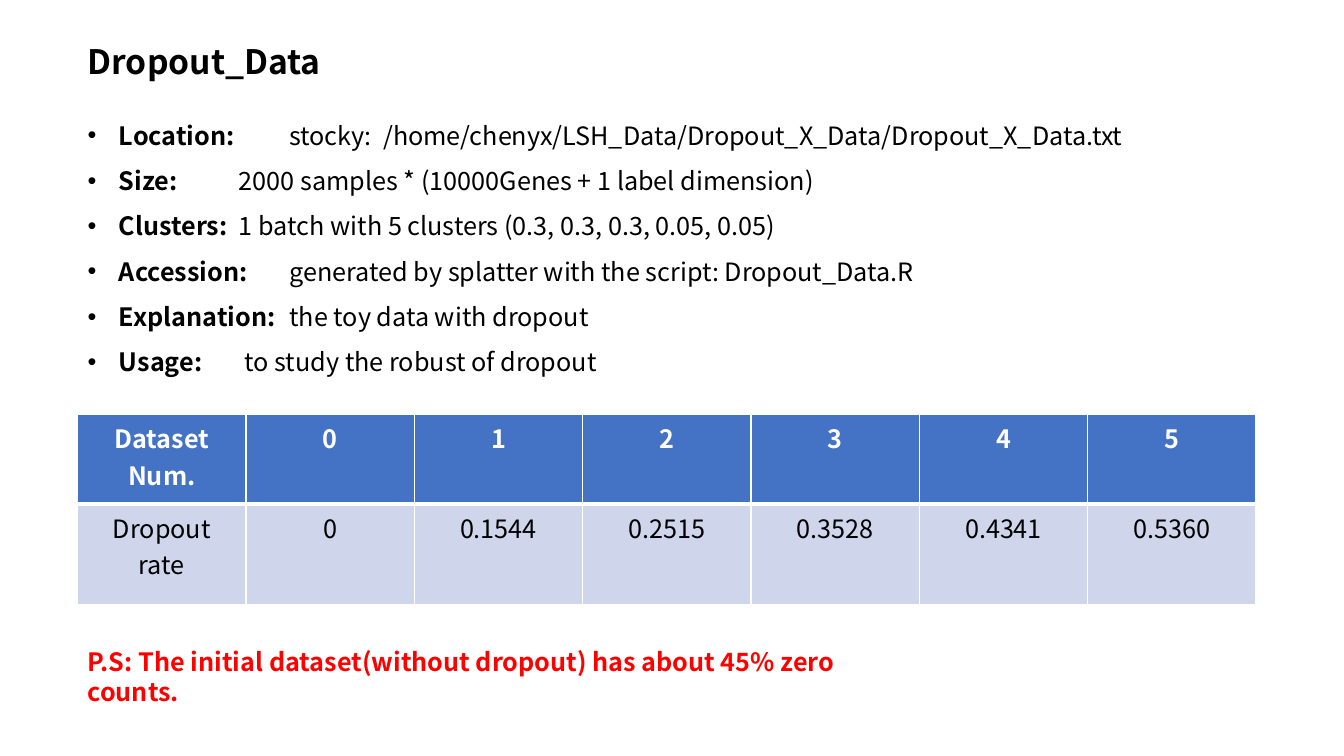
"""Build the Dropout_Data overview slide."""
from lxml.etree import SubElement
from pptx import Presentation
from pptx.dml.color import RGBColor
from pptx.enum.text import MSO_ANCHOR, MSO_AUTO_SIZE, PP_ALIGN
from pptx.oxml.ns import qn
from pptx.util import Inches, Pt

FONT = "Noto Sans CJK SC"
COLORS = {"text": "000000", "note": "FF0000", "white": "FFFFFF",
          "header": "4472C4", "band": "CFD5EA"}
LEFT = 0.77
LINE_HEIGHT = 1.2
FACTS = [
    ("Location: \t", "stocky:  /home/chenyx/LSH_Data/Dropout_X_Data/Dropout_X_Data.txt"),
    ("Size:\t\t", "2000 samples * (10000Genes + 1 label dimension)"),
    ("Clusters:\t", "1 batch with 5 clusters (0.3, 0.3, 0.3, 0.05, 0.05)"),
    ("Accession:\t", "generated by splatter with the script: Dropout_Data.R"),
    ("Explanation:\t", "the toy data with dropout"),
    ("Usage:\t", " to study the robust of dropout"),
]
RATES = [
    ["Dataset Num.", "0", "1", "2", "3", "4", "5"],
    ["Dropout rate", "0", "0.1544", "0.2515", "0.3528", "0.4341", "0.5360"],
]
ROW_HEIGHTS = [0.89, 1.0]
COLUMN_WIDTH = 1.67


def add_span(para, text, color, size=18, bold=False):
    """Add one formatted run to a paragraph."""
    span = para.add_run()
    span.text = text
    span.font.name = FONT
    span.font.size = Pt(size)
    span.font.bold = bold
    span.font.color.rgb = RGBColor.from_string(COLORS[color])


def place(box, top, width, height):
    """Set a text box at the left margin and return its text frame."""
    box.left, box.top = Inches(LEFT), Inches(top)
    box.width, box.height = Inches(width), Inches(height)
    frame = box.text_frame
    frame.word_wrap = True
    frame.auto_size = MSO_AUTO_SIZE.NONE
    frame.vertical_anchor = MSO_ANCHOR.TOP
    return frame


def set_spacing(para, size=18, lines=1):
    """Align a paragraph left with a fixed line pitch."""
    para.alignment = PP_ALIGN.LEFT
    para.space_before = para.space_after = Pt(0)
    para.line_spacing = Pt(size * LINE_HEIGHT * lines)


def add_line(box, top, width, height, text, color, size):
    """Write a single bold paragraph in a box."""
    para = place(box, top, width, height).paragraphs[0]
    set_spacing(para, size)
    add_span(para, text, color, size, bold=True)


def set_bullet(para):
    """Give a paragraph a round bullet with a hanging indent."""
    properties = para._p.get_or_add_pPr()
    properties.set("marL", str(Inches(0.31)))
    properties.set("indent", str(-Inches(0.31)))
    SubElement(properties, qn("a:buFont"), typeface="Arial")
    SubElement(properties, qn("a:buChar"), char="•")


def add_facts(box):
    """Fill the body with labelled facts."""
    frame = place(box, 0.99, 11.79, 2.78)
    for index, (label, fact) in enumerate(FACTS):
        para = frame.add_paragraph() if index else frame.paragraphs[0]
        set_spacing(para, lines=1.5)
        set_bullet(para)
        add_span(para, label, "text", bold=True)
        add_span(para, fact, "text")


def set_borders(cell, bottom):
    """Draw white cell borders ahead of the cell's fill."""
    properties = cell._tc.get_or_add_tcPr()
    for index, (side, points) in enumerate(
            [("L", 1), ("R", 1), ("T", 1), ("B", bottom)]):
        line = SubElement(properties, qn(f"a:ln{side}"), w=str(Pt(points)))
        fill = SubElement(line, qn("a:solidFill"))
        SubElement(fill, qn("a:srgbClr"), val=COLORS["white"])
        properties.insert(index, line)


def add_rates(page):
    """Add the table of dropout rates."""
    columns = len(RATES[0])
    table = page.shapes.add_table(
        len(RATES), columns, Inches(LEFT), Inches(4.11),
        Inches(COLUMN_WIDTH * columns), Inches(sum(ROW_HEIGHTS))).table
    for column in table.columns:
        column.width = Inches(COLUMN_WIDTH)
    for row, values in enumerate(RATES):
        table.rows[row].height = Inches(ROW_HEIGHTS[row])
        header = row == 0
        for column, value in enumerate(values):
            cell = table.cell(row, column)
            cell.fill.solid()
            cell.fill.fore_color.rgb = RGBColor.from_string(
                COLORS["header" if header else "band"])
            set_borders(cell, 3 if header else 1)
            para = cell.text_frame.paragraphs[0]
            para.alignment = PP_ALIGN.CENTER
            add_span(para, value, "white" if header else "text", bold=header)


def main():
    """Assemble and save the deck."""
    deck = Presentation()
    deck.slide_width, deck.slide_height = Inches(13.33), Inches(7.5)
    page = deck.slides.add_slide(deck.slide_layouts[1])
    add_line(page.shapes.title, 0.36, 3.58, 0.5, "Dropout_Data", "text", 24)
    add_facts(page.placeholders[1])
    add_rates(page)
    note = page.shapes.add_textbox(0, 0, 0, 0)
    add_line(note, 6.36, 8.02, 0.7,
             "P.S: The initial dataset(without dropout) has about 45% zero counts.",
             "note", 18)
    deck.save("out.pptx")


if __name__ == "__main__":
    main()
